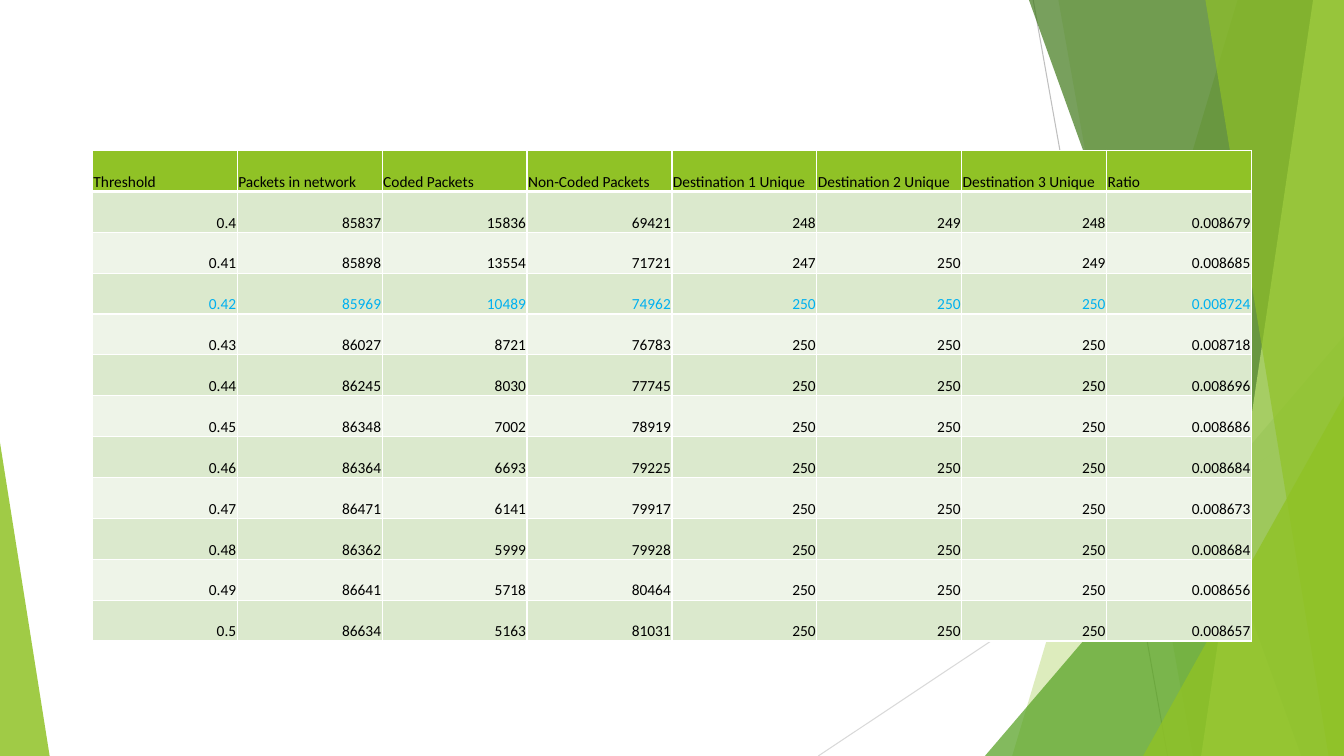
from dataclasses import dataclass

from lxml.etree import SubElement
from pptx import Presentation
from pptx.dml.color import RGBColor
from pptx.enum.shapes import MSO_CONNECTOR, MSO_SHAPE
from pptx.enum.text import MSO_ANCHOR, PP_ALIGN
from pptx.oxml.ns import qn
from pptx.util import Pt


@dataclass(frozen=True)
class Theme:
    """Colours, font and sizes of the deck."""
    font: str = "Calibri"
    text_size: float = 11
    text: str = "000000"
    highlight: str = "00B0F0"
    green: str = "90C226"
    leaf: str = "54A021"
    forest: str = "3F7819"
    lime: str = "C0E474"
    dark_line: str = "BFBFBF"
    light_line: str = "D9D9D9"
    border: str = "FFFFFF"
    bands: tuple = ("DBE9CD", "EEF4E8")


@dataclass(frozen=True)
class Box:
    """A region of the page, in points."""
    left: float
    top: float
    width: float
    height: float


THEME = Theme()
HEADINGS = ["Threshold", "Packets in network", "Coded Packets", "Non-Coded Packets",
            "Destination 1 Unique", "Destination 2 Unique", "Destination 3 Unique", "Ratio"]
RESULTS = [
    ["0.4", "85837", "15836", "69421", "248", "249", "248", "0.008679"],
    ["0.41", "85898", "13554", "71721", "247", "250", "249", "0.008685"],
    ["0.42", "85969", "10489", "74962", "250", "250", "250", "0.008724"],
    ["0.43", "86027", "8721", "76783", "250", "250", "250", "0.008718"],
    ["0.44", "86245", "8030", "77745", "250", "250", "250", "0.008696"],
    ["0.45", "86348", "7002", "78919", "250", "250", "250", "0.008686"],
    ["0.46", "86364", "6693", "79225", "250", "250", "250", "0.008684"],
    ["0.47", "86471", "6141", "79917", "250", "250", "250", "0.008673"],
    ["0.48", "86362", "5999", "79928", "250", "250", "250", "0.008684"],
    ["0.49", "86641", "5718", "80464", "250", "250", "250", "0.008656"],
    ["0.5", "86634", "5163", "81031", "250", "250", "250", "0.008657"],
]
BEST_THRESHOLD = "0.42"


def paint(shape, color, opacity):
    """Give a shape a translucent fill without line or shadow."""
    shape.shadow.inherit = False
    shape.line.fill.background()
    shape.fill.solid()
    shape.fill.fore_color.rgb = RGBColor.from_string(color)
    color_element = shape.fill._xPr.find(qn("a:solidFill"))[0]
    SubElement(color_element, qn("a:alpha"), val=str(opacity * 1000))


def add_facet(page, box, top_inset, bottom_inset, color, opacity):
    """Draw a full-height facet that reaches the right side of the box."""
    right, bottom = box.left + box.width, box.top + box.height
    builder = page.shapes.build_freeform(Pt(box.left + top_inset), Pt(box.top))
    builder.add_line_segments([(Pt(right), Pt(box.top)), (Pt(right), Pt(bottom)),
                               (Pt(box.left + bottom_inset), Pt(bottom))])
    paint(builder.convert_to_shape(), color, opacity)


def add_corner(page, box, apex, color, opacity):
    """Fill the box with a triangle whose apex is at the given share of its width."""
    corner = page.shapes.add_shape(MSO_SHAPE.ISOSCELES_TRIANGLE, Pt(box.left), Pt(box.top),
                                   Pt(box.width), Pt(box.height))
    corner.adjustments[0] = apex
    paint(corner, color, opacity)


def add_right_corner(page, box, left_inset, top_inset, color, opacity):
    """Draw a triangle in the bottom right corner of the box."""
    corner_box = Box(box.left + left_inset, box.top + top_inset,
                     box.width - left_inset, box.height - top_inset)
    add_corner(page, corner_box, 1, color, opacity)


def add_thin_line(page, box, start, end, color):
    """Draw a hairline between two points of the box."""
    line = page.shapes.add_connector(
        MSO_CONNECTOR.STRAIGHT, Pt(box.left + start[0]), Pt(box.top + start[1]),
        Pt(box.left + end[0]), Pt(box.top + end[1]))
    line.line.color.rgb = RGBColor.from_string(color)
    line.line.width = Pt(0.75)
    SubElement(line._element.spPr, qn("a:effectLst"))


def add_right_facets(page, box):
    """Draw the overlapping green facets on the right."""
    add_thin_line(page, box, (158, 0), (254, box.height), THEME.dark_line)
    add_thin_line(page, box, (box.width, 290), (4.5, box.height), THEME.light_line)
    add_facet(page, box, 304, 143, THEME.green, 30)
    add_facet(page, box, 176, 272, THEME.green, 20)
    add_right_corner(page, box, 123.5, 240, THEME.leaf, 72)
    add_facet(page, box, 155, 349.5, THEME.forest, 70)
    add_facet(page, box, 358, 278, THEME.lime, 70)
    add_facet(page, box, 281, 369, THEME.green, 65)
    add_right_corner(page, box, 236.5, 283, THEME.green, 80)


def set_borders(cell, top, bottom):
    """Draw the cell borders, with the given top and bottom widths."""
    properties = cell._tc.get_or_add_tcPr()
    for side, width in (("L", 1), ("R", 1), ("T", top), ("B", bottom)):
        line = SubElement(properties, qn(f"a:ln{side}"), w=str(Pt(width)))
        fill = SubElement(line, qn("a:solidFill"))
        SubElement(fill, qn("a:srgbClr"), val=THEME.border)


def fill_cell(cell, text, fill, color, alignment):
    """Write one line of text at the bottom of a coloured cell."""
    cell.fill.solid()
    cell.fill.fore_color.rgb = RGBColor.from_string(fill)
    cell.vertical_anchor = MSO_ANCHOR.BOTTOM
    cell.margin_left = cell.margin_right = cell.margin_top = Pt(0.75)
    cell.margin_bottom = 0
    para = cell.text_frame.paragraphs[0]
    para.text = text
    para.alignment = alignment
    para.font.name = THEME.font
    para.font.size = Pt(THEME.text_size)
    para.font.bold = False
    para.font.color.rgb = RGBColor.from_string(color)


def add_results_table(page, box):
    """Fill the box with the table of packet counts by threshold."""
    rows = [HEADINGS, *RESULTS]
    table = page.shapes.add_table(len(rows), len(HEADINGS), Pt(box.left), Pt(box.top),
                                  Pt(box.width), Pt(box.height)).table
    table.horz_banding = False
    for column in table.columns:
        column.width = Pt(box.width / len(HEADINGS))
    for row_index, values in enumerate(rows):
        table.rows[row_index].height = Pt(box.height / len(rows))
        heading = row_index == 0
        fill = THEME.green if heading else THEME.bands[(row_index - 1) % 2]
        color = THEME.highlight if values[0] == BEST_THRESHOLD else THEME.text
        alignment = PP_ALIGN.LEFT if heading else PP_ALIGN.RIGHT
        for column_index, text in enumerate(values):
            cell = table.cell(row_index, column_index)
            set_borders(cell, top=3 if row_index == 1 else 1, bottom=3 if heading else 1)
            fill_cell(cell, text, fill, color, alignment)


def main():
    """Build and save the one-page deck."""
    deck = Presentation()
    deck.slide_width, deck.slide_height = Pt(960), Pt(540)
    page = deck.slides.add_slide(deck.slide_layouts[6])
    add_right_facets(page, Box(580, 0, 380, 540))
    add_corner(page, Box(0, 316, 35.5, 224), 0, THEME.green, 85)
    add_results_table(page, Box(66, 107.5, 828, 350.4))
    deck.save("out.pptx")


if __name__ == "__main__":
    main()
